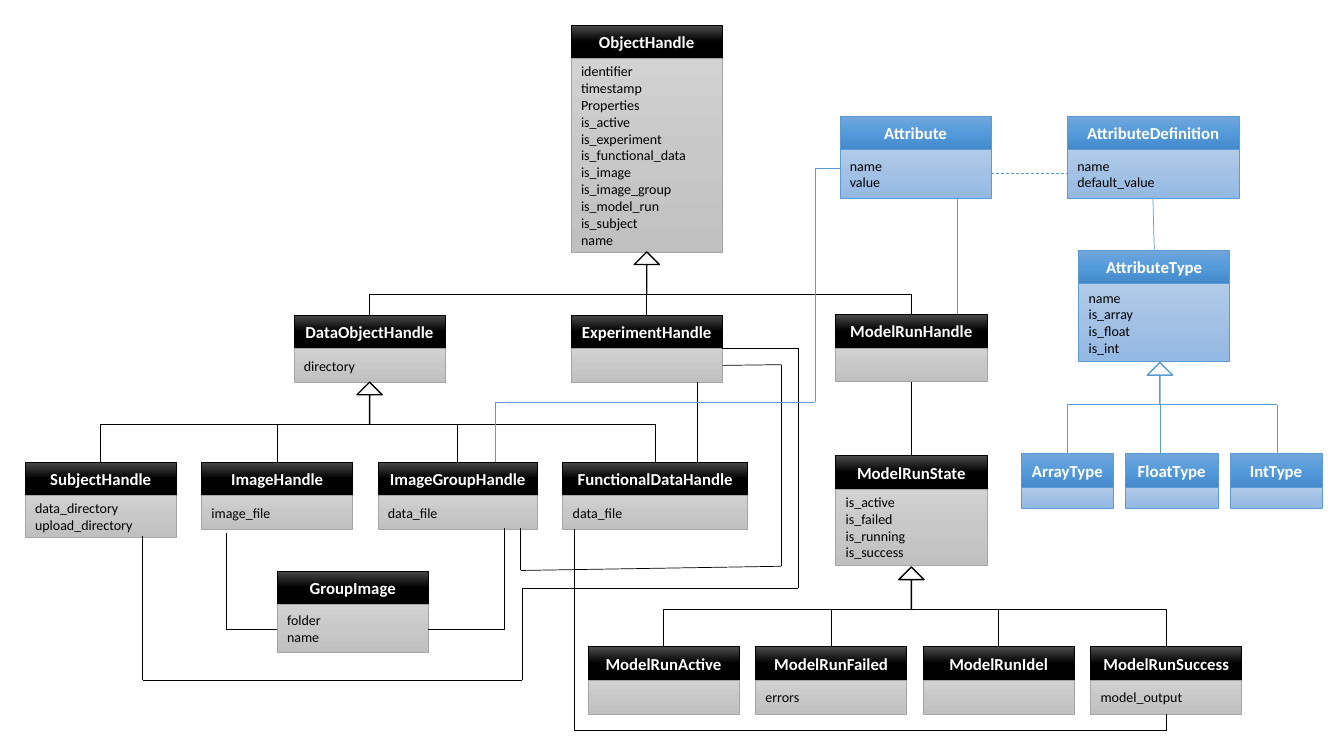
"""Build a one-page class diagram of data handles, model runs and attributes."""
from copy import deepcopy
from dataclasses import dataclass
from itertools import pairwise

from pptx import Presentation
from pptx import util as u
from pptx.dml.color import RGBColor
from pptx.enum import dml, shapes, text
from pptx.oxml import parse_xml
from pptx.oxml.ns import nsdecls


@dataclass(frozen=True)
class Palette:
    """Colours of one family of classes; gradients run from top to bottom."""
    header: tuple
    body: tuple
    header_edge: str
    body_edge: str
    line: str


@dataclass(frozen=True)
class Theme:
    """Colours, type sizes and common lengths of the diagram."""
    handle = Palette(("4B4B4B", "000000", "000000"), ("D2D2D2", "C8C8C8", "C0C0C0"),
                     "000000", "A5A5A5", "000000")
    attribute = Palette(("71A6DB", "559BDB", "448ACA"), ("B1CBE9", "A3C1E5", "93B9E4"),
                        "5B9BD5", "5B9BD5", "5B9BD5")
    font: str = "Calibri"
    title_size: float = 12
    member_size: float = 10
    title_colour: str = "FFFFFF"
    member_colour: str = "000000"
    arrow_fill: str = "FFFFFF"
    thin: float = 0.5
    thick: float = 1
    header_height: float = 24
    class_width: float = 108
    arrow_width: float = 18
    arrow_height: float = 30


THEME = Theme()


def rgb(colour):
    """Turn a hex string into a colour."""
    return RGBColor.from_string(colour)


def set_line(line, colour, width):
    """Give an outline or connector its colour and width."""
    line.color.rgb = rgb(colour)
    line.width = u.Pt(width)


def set_gradient(box, colours):
    """Fill a box with evenly spaced colours from top to bottom."""
    box.fill.gradient()
    box.fill.gradient_angle = 270
    stop_list = box._element.xpath("./p:spPr/a:gradFill/a:gsLst")[0]
    stop_list.append(deepcopy(stop_list[-1]))
    for index, (stop, colour) in enumerate(zip(box.fill.gradient_stops, colours)):
        stop.color.rgb = rgb(colour)
        stop.position = index / (len(colours) - 1)


def add_panel(group, frame, colours, edge, words, size, ink, align, bold=False):
    """Add one compartment of a class box, with its text."""
    box = group.shapes.add_shape(shapes.MSO_SHAPE.RECTANGLE, *map(u.Pt, frame))
    box.shadow.inherit = False
    set_gradient(box, colours)
    set_line(box.line, edge, THEME.thin)
    box.text_frame.word_wrap = True
    box.text_frame.vertical_anchor = text.MSO_ANCHOR.MIDDLE
    box.text_frame.text = words
    for para in box.text_frame.paragraphs:
        para.alignment = align
        for span in para.runs:
            span.font.name = THEME.font
            span.font.size = u.Pt(size)
            span.font.bold = bold
            span.font.color.rgb = rgb(ink)


def add_class(page, palette, name, left, top, body_height, members="",
              width=THEME.class_width):
    """Add a class box: a name above a list of space-separated members."""
    group = page.shapes.add_group_shape()
    add_panel(group, (left, top, width, THEME.header_height), palette.header,
              palette.header_edge, name, THEME.title_size, THEME.title_colour,
              text.PP_ALIGN.CENTER, bold=True)
    add_panel(group, (left, top + THEME.header_height, width, body_height), palette.body,
              palette.body_edge, "\n".join(members.split()), THEME.member_size,
              THEME.member_colour, text.PP_ALIGN.LEFT)


def add_link(page, palette, start, end, kind=shapes.MSO_CONNECTOR.STRAIGHT, dashed=False):
    """Connect two points without a shadow and return the connector."""
    link = page.shapes.add_connector(kind, *map(u.Pt, (*start, *end)))
    set_line(link.line, palette.line, THEME.thin)
    if dashed:
        link.line.dash_style = dml.MSO_LINE.DASH
    link._element.spPr.append(parse_xml(f"<a:effectLst {nsdecls('a')}/>"))
    return link


def add_corner(page, palette, start, end):
    """Connect two points with one bend: first sideways, then vertically."""
    link = add_link(page, palette, start, end, shapes.MSO_CONNECTOR.ELBOW)
    link._element.xpath("./p:spPr/a:prstGeom")[0].set("prst", "bentConnector2")


def add_route(page, palette, *points):
    """Join a run of points with straight connectors."""
    for start, end in pairwise(points):
        add_link(page, palette, start, end)


def add_inheritance(page, palette, centre, top, children, child_top):
    """Add a hollow arrow to a parent, with a bar and a drop to each child."""
    bar = top + THEME.arrow_height
    add_link(page, palette, (children[0], bar), (children[-1], bar))
    for child in children:
        add_link(page, palette, (child, child_top), (child, bar))
    arrow = page.shapes.add_shape(
        shapes.MSO_SHAPE.UP_ARROW, u.Pt(centre - THEME.arrow_width / 2), u.Pt(top),
        u.Pt(THEME.arrow_width), u.Pt(THEME.arrow_height))
    arrow.shadow.inherit = False
    arrow.adjustments[0] = 0
    arrow.adjustments[1] = 0.5
    arrow.fill.solid()
    arrow.fill.fore_color.rgb = rgb(THEME.arrow_fill)
    set_line(arrow.line, palette.line, THEME.thick)


def add_handles(page):
    """Add the handle and model-run classes with their relations."""
    look = THEME.handle
    for details in (
        ("ObjectHandle", 408, 18, 138,
         "identifier timestamp Properties is_active is_experiment is_functional_data "
         "is_image is_image_group is_model_run is_subject name"),
        ("DataObjectHandle", 210, 225, 24, "directory"),
        ("ModelRunHandle", 597, 224.5, 24),
        ("ExperimentHandle", 408, 225, 24),
        ("SubjectHandle", 18, 330, 29.5, "data_directory upload_directory"),
        ("ImageHandle", 144, 330, 24, "image_file"),
        ("ImageGroupHandle", 270, 330, 24, "data_file", 114),
        ("FunctionalDataHandle", 402, 330, 24, "data_file", 132),
        ("ModelRunState", 597, 325.5, 54, "is_active is_failed is_running is_success"),
        ("GroupImage", 198, 407.75, 34.5, "folder name"),
    ):
        add_class(page, look, *details)
    states = (("Active", ""), ("Failed", "errors"), ("Idel", ""), ("Success", "model_output"))
    for index, (state, members) in enumerate(states):
        add_class(page, look, "ModelRun" + state, 420 + index * 119.7, 462, 24, members)

    add_inheritance(page, look, 462, 180, (264, 462, 651), 225)
    add_inheritance(page, look, 264, 273, (72, 198, 327, 468), 330)
    add_inheritance(page, look, 651, 405, [474 + index * 119.7 for index in range(4)], 462)
    add_corner(page, look, (306, 449.5), (360, 377.5))
    add_corner(page, look, (198, 449.5), (162, 381))
    add_route(page, look, (651, 273), (651, 325.5))
    add_route(page, look, (498, 273), (498, 330))
    add_route(page, look, (516, 261), (558, 260.5), (558, 404.5), (372, 407.5), (372, 377.5))
    add_route(page, look, (102, 383), (102, 486), (373, 486), (373, 420), (570, 420),
              (570, 248.5), (516, 248.5))
    add_route(page, look, (833, 510), (833, 522), (410.5, 522), (410.5, 378))


def add_attributes(page):
    """Add the attribute classes with their relations."""
    look = THEME.attribute
    add_class(page, look, "Attribute", 600, 83, 34.5, "name value")
    add_class(page, look, "AttributeDefinition", 762.5, 83, 34.5, "name default_value", 122.5)
    add_class(page, look, "AttributeType", 770.5, 178.5, 56, "name is_array is_float is_int")
    for index, kind in enumerate(("Array", "Float", "Int")):
        add_class(page, look, kind + "Type", 729.5 + index * 74.5, 324, 15, width=66)

    add_route(page, look, (684, 224.5), (684, 141))
    add_route(page, look, (354, 330), (354, 287.5), (582.5, 287.5), (582.5, 120.5), (600, 120.5))
    add_link(page, look, (708, 124), (762.5, 124), dashed=True)
    add_route(page, look, (823.5, 141), (824.5, 178.5))
    add_inheritance(page, look, 828.5, 259, (762.5, 828.5, 912.5), 324)


def main():
    """Create the deck and save it."""
    deck = Presentation()
    deck.slide_width, deck.slide_height = u.Pt(960), u.Pt(540)
    page = deck.slides.add_slide(deck.slide_layouts[6])
    add_handles(page)
    add_attributes(page)
    deck.save("out.pptx")


if __name__ == "__main__":
    main()
